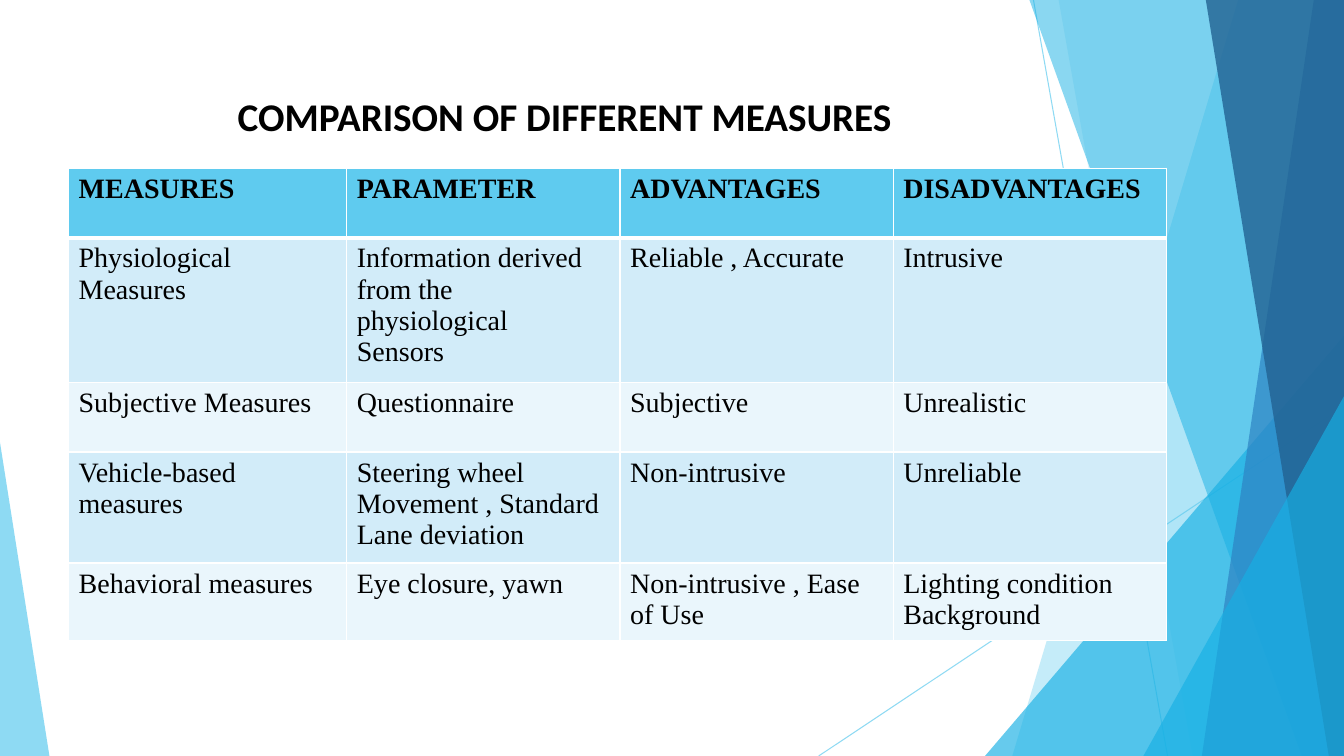
from dataclasses import dataclass

from lxml import etree
from pptx import Presentation
from pptx.dml.color import RGBColor
from pptx.enum.shapes import MSO_CONNECTOR, MSO_SHAPE
from pptx.enum.text import MSO_ANCHOR, PP_ALIGN
from pptx.oxml.ns import qn
from pptx.util import Inches, Pt

STRAIGHT = MSO_CONNECTOR.STRAIGHT
TRIANGLE = MSO_SHAPE.ISOSCELES_TRIANGLE
LEFT = PP_ALIGN.LEFT
MIDDLE = MSO_ANCHOR.MIDDLE
TOP = MSO_ANCHOR.TOP


@dataclass(frozen=True)
class Theme:
    sky: str = "5FCBEF"
    azure: str = "17B0E4"
    blue: str = "2E83C3"
    navy: str = "226292"
    band_dark: str = "D2ECF9"
    band_light: str = "EAF6FC"
    white: str = "FFFFFF"
    ink: str = "000000"
    title_font: str = "Calibri"
    table_font: str = "Times New Roman"
    title_size: float = 28
    table_size: float = 20
    facet_line: float = 0.75
    border: float = 1
    header_border: float = 3


THEME = Theme()
PAGE_BOX = (0, 0, 13.33, 7.5)
TITLE_BOX = (2.26, 0.88, 7.54, 0.54)
TABLE_BOX = (0.68, 1.67, 10.89, 4.37)
FIRST_COLUMN = 2.76
ROW_HEIGHTS = (0.69, 1.24, 0.69, 1.06, 0.69)
ROWS = (
    ("MEASURES", "PARAMETER", "ADVANTAGES", "DISADVANTAGES"),
    ("Physiological Measures",
     "Information derived\nfrom the physiological\nSensors",
     "Reliable , Accurate", "Intrusive"),
    ("Subjective Measures", "Questionnaire", "Subjective", "Unrealistic"),
    ("Vehicle-based measures",
     "Steering wheel\nMovement , Standard Lane deviation",
     "Non-intrusive", "Unreliable"),
    ("Behavioral measures", "Eye closure, yawn",
     "Non-intrusive , Ease of Use", "Lighting condition\nBackground"),
)


def set_values(target, values):
    for name, value in values.items():
        setattr(target, name, value)


def set_font(para, name, size, bold):
    set_values(para.font, {"name": name, "size": Pt(size), "bold": bold})
    para.font.color.rgb = RGBColor.from_string(THEME.ink)


def paint(fill, colour, opacity):
    fill.solid()
    fill.fore_color.rgb = RGBColor.from_string(colour)
    for tag in fill._xPr.iter(qn("a:srgbClr")):
        etree.SubElement(tag, qn("a:alpha"), val=str(opacity * 1000))


def finish_facet(shape, colour, opacity):
    shape.shadow.inherit = False
    paint(shape.fill, colour, opacity)
    shape.line.fill.background()


def add_ray(page, start, end):
    ray = page.shapes.add_connector(STRAIGHT, *map(Inches, start + end))
    ray.line.width = Pt(THEME.facet_line)
    paint(ray.line.fill, THEME.sky, 70)
    etree.SubElement(ray._element.spPr, qn("a:effectLst"))


def add_panel(page, box, top_inset, bottom_inset, colour, opacity):
    left, top, width, height = box
    right, bottom = left + width, top + height
    corners = ((right - top_inset, top), (right, top),
               (right, bottom), (right - bottom_inset, bottom))
    points = [(Inches(x), Inches(y)) for x, y in corners]
    outline = page.shapes.build_freeform(*points[0], scale=1.0)
    outline.add_line_segments(points[1:], close=True)
    finish_facet(outline.convert_to_shape(), colour, opacity)


def add_corner(page, box, width, height, apex, colour, opacity):
    left, top, page_width, page_height = box
    corner_left = left + apex * (page_width - width)
    corner_top = top + page_height - height
    corner = page.shapes.add_shape(
        TRIANGLE, *map(Inches, (corner_left, corner_top, width, height)))
    corner.adjustments[0] = apex
    finish_facet(corner, colour, opacity)


def add_backdrop(page, box):
    left, top, width, height = box
    right, bottom = left + width, top + height
    add_ray(page, (right - 3.08, top), (right - 1.75, bottom))
    add_ray(page, (right, top + 4.03), (right - 5.21, bottom))
    add_panel(page, box, 1.05, 3.29, THEME.sky, 36)
    add_panel(page, box, 2.83, 1.5, THEME.sky, 20)
    add_corner(page, box, 3.56, 4.17, 1, THEME.azure, 66)
    add_panel(page, box, 3.12, 0.42, THEME.azure, 50)
    add_panel(page, box, 0.3, 1.41, THEME.blue, 70)
    add_panel(page, box, 1.37, 0.15, THEME.navy, 80)
    add_corner(page, box, 1.99, 3.57, 1, THEME.azure, 66)
    add_corner(page, box, 0.49, 3.11, 0, THEME.sky, 70)


def add_title(page, box, text):
    frame = page.shapes.add_textbox(*map(Inches, box)).text_frame
    set_values(frame, {"word_wrap": True, "vertical_anchor": MIDDLE})
    para = frame.paragraphs[0]
    set_values(para, {"text": text, "alignment": LEFT})
    set_font(para, THEME.title_font, THEME.title_size, True)


def add_borders(cell, row):
    widths = {
        "a:lnL": THEME.border,
        "a:lnR": THEME.border,
        "a:lnT": THEME.header_border if row == 1 else THEME.border,
        "a:lnB": THEME.header_border if row == 0 else THEME.border,
    }
    properties = cell._tc.get_or_add_tcPr()
    for tag, width in widths.items():
        line = etree.SubElement(properties, qn(tag), w=str(Pt(width)))
        solid = etree.SubElement(line, qn("a:solidFill"))
        etree.SubElement(solid, qn("a:srgbClr"), val=THEME.white)


def fill_cell(cell, row, text):
    header = row == 0
    band = THEME.band_dark if row % 2 else THEME.band_light
    add_borders(cell, row)
    cell.fill.solid()
    cell.fill.fore_color.rgb = RGBColor.from_string(
        THEME.sky if header else band)
    set_values(cell, {"text": text, "vertical_anchor": TOP})
    for para in cell.text_frame.paragraphs:
        para.alignment = LEFT
        set_font(para, THEME.table_font, THEME.table_size, header)


def add_measures_table(page, box):
    columns = len(ROWS[0])
    table = page.shapes.add_table(
        len(ROWS), columns, *map(Inches, box)).table
    other_column = (box[2] - FIRST_COLUMN) / (columns - 1)
    for index, column in enumerate(table.columns):
        column.width = Inches(other_column if index else FIRST_COLUMN)
    for row, (texts, height) in enumerate(zip(ROWS, ROW_HEIGHTS)):
        table.rows[row].height = Inches(height)
        for column, text in enumerate(texts):
            fill_cell(table.cell(row, column), row, text)


def main():
    deck = Presentation()
    set_values(deck, {"slide_width": Inches(PAGE_BOX[2]),
                      "slide_height": Inches(PAGE_BOX[3])})
    page = deck.slides.add_slide(deck.slide_layouts[6])
    add_backdrop(page, PAGE_BOX)
    add_title(page, TITLE_BOX, "COMPARISON OF DIFFERENT MEASURES")
    add_measures_table(page, TABLE_BOX)
    deck.save("out.pptx")


if __name__ == "__main__":
    main()
